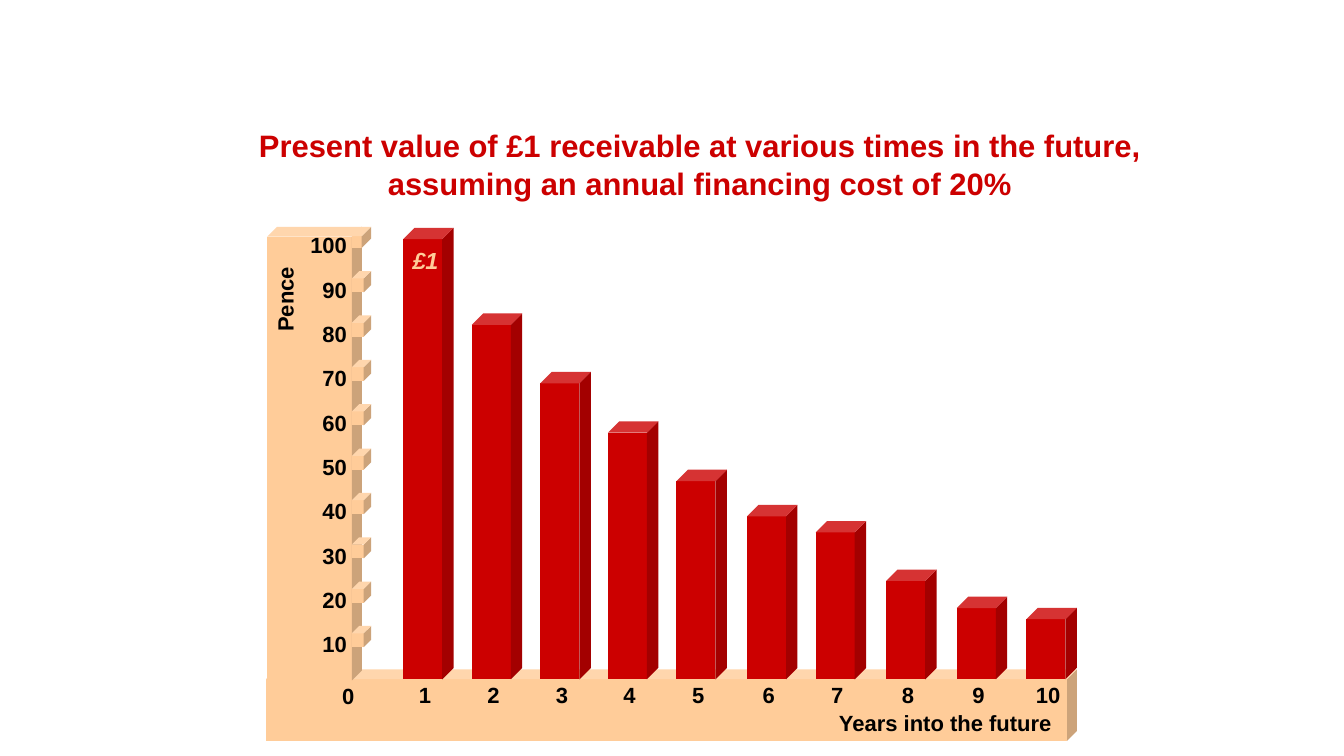
import pptx
import pptx.util
import pptx.dml.color
import pptx.enum.shapes
import pptx.enum.text

Inches = pptx.util.Inches
RGBColor = pptx.dml.color.RGBColor
ALIGN = pptx.enum.text.PP_ALIGN

RED = RGBColor(0xCC, 0x00, 0x00)
PEACH = RGBColor(0xFF, 0xCC, 0x99)
BLACK = RGBColor(0x00, 0x00, 0x00)

TITLE = ("Present value of £1 receivable at various times in the future, "
         "assuming an annual financing cost of 20%")
BARS = [(4, 2.26), (4.68, 3.11), (5.36, 3.69), (6.03, 4.18), (6.71, 4.66),
        (7.41, 5.01), (8.09, 5.17), (8.79, 5.65), (9.49, 5.92), (10.18, 6.03)]
PENCE = range(100, 0, -10)
BASELINE = 6.74
SCALE_TOP = 2.25
SCALE_STEP = 0.44


def write(sp, text, size=15.7, color=BLACK, align=ALIGN.CENTER, italic=False):
    tf = sp.text_frame
    tf.word_wrap = True
    tf.auto_size = pptx.enum.text.MSO_AUTO_SIZE.NONE
    tf.vertical_anchor = pptx.enum.text.MSO_ANCHOR.TOP
    p = tf.paragraphs[0]
    p.alignment = align
    r = p.add_run()
    r.text = text
    r.font.name = "Arial"
    r.font.size = pptx.util.Pt(size)
    r.font.bold = True
    r.font.italic = italic
    r.font.color.rgb = color


def label(s, text, x, y, w, h=0.37, **style):
    sp = s.shapes.add_textbox(Inches(x), Inches(y), Inches(w), Inches(h))
    write(sp, text, **style)
    return sp


def cube(s, x, y, w, h, depth, color):
    sp = s.shapes.add_shape(pptx.enum.shapes.MSO_SHAPE.CUBE,
                            Inches(x), Inches(y), Inches(w), Inches(h))
    sp.adjustments[0] = depth
    sp.fill.solid()
    sp.fill.fore_color.rgb = color
    sp.line.fill.background()
    sp.shadow.inherit = False


def main():
    prs = pptx.Presentation()
    prs.slide_width, prs.slide_height = Inches(13.33), Inches(7.5)
    s = prs.slides.add_slide(prs.slide_layouts[5])

    title = s.shapes.title
    title.left, title.top = Inches(2.21), Inches(1.21)
    title.width, title.height = Inches(9.46), Inches(0.85)
    write(title, TITLE, size=22.1, color=RED)

    cube(s, 2.64, 6.64, 8.04, 0.71, 0.136, PEACH)
    label(s, "0", 3.22, 6.72, 0.47)
    for year, (x, top) in enumerate(BARS, 1):
        cube(s, x, top, 0.5, BASELINE - top, 0.226, RED)
        label(s, str(year), x - 0.02, 6.71, 0.47)
    label(s, "Years into the future", 7.63, 6.99, 2.9, align=ALIGN.RIGHT)

    cube(s, 2.65, SCALE_TOP, 0.94, 4.5, 0.105, PEACH)
    for i, value in enumerate(PENCE):
        y = SCALE_TOP + i * SCALE_STEP
        cube(s, 3.49, y, 0.19, 0.21, 0.491 if i == 0 else 0.383, PEACH)
        label(s, str(value), 2.9, y, 0.64, align=ALIGN.RIGHT)
    label(s, "Pence", 2.34, 2.79, 0.97, 0.36).rotation = 270
    label(s, "£1", 3.92, 2.39, 0.6, 0.38, size=16.6, color=PEACH, italic=True)

    prs.save("out.pptx")


if __name__ == "__main__":
    main()
